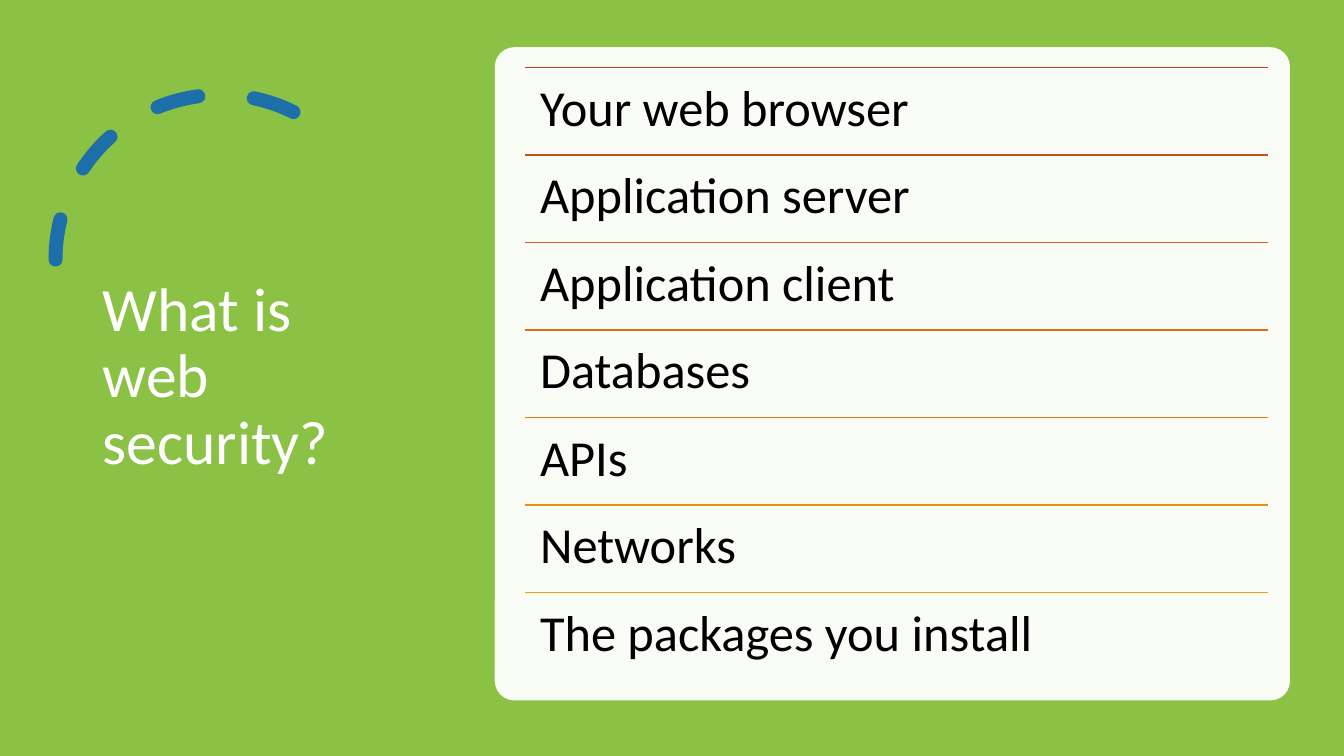
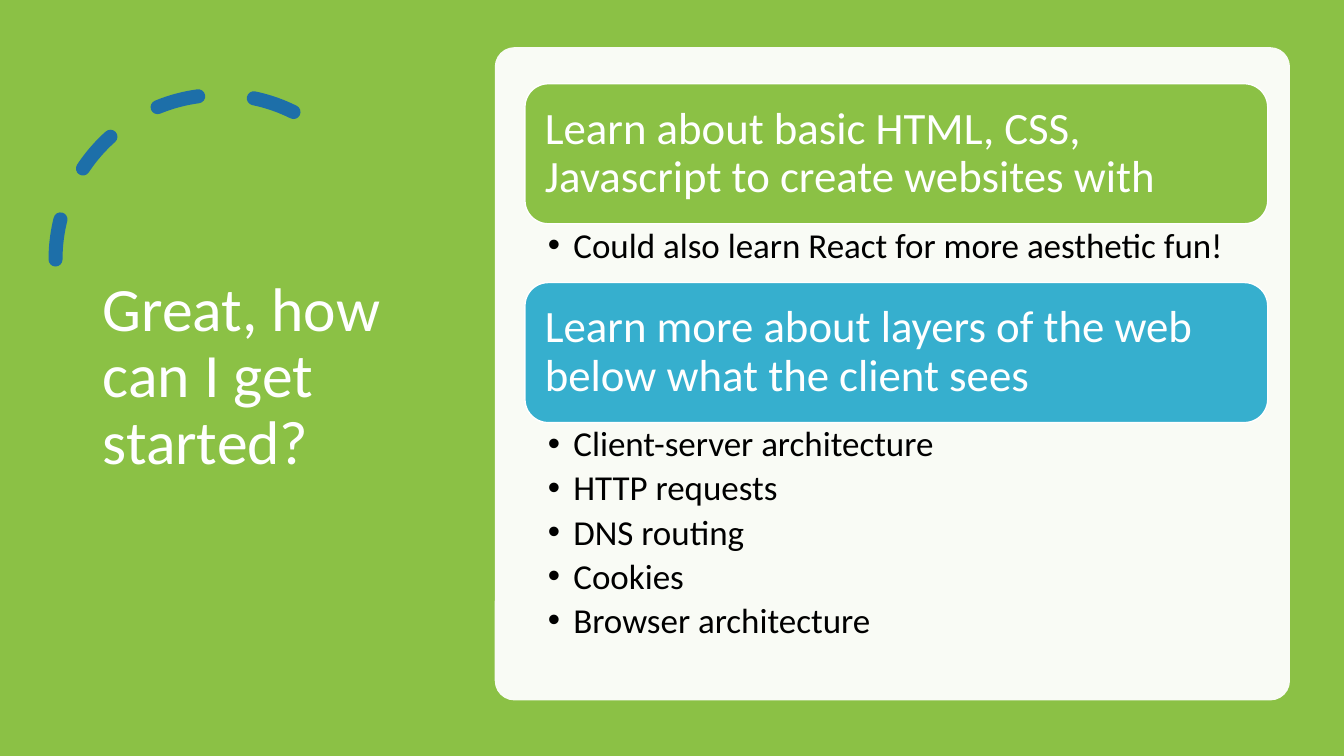
from lxml import etree
from pptx import Presentation
from pptx import util as u
from pptx.dml import color
from pptx.enum import dml, shapes, text
from pptx.oxml import ns

Cm, Pt = u.Cm, u.Pt
FONT = "Calibri"
COLOURS = {
    "green": "8BC145",
    "blue": "36AFCE",
    "arc": "1D6FA9",
    "white": "FFFFFF",
    "black": "000000",
    # Rules between the rows, from rust to amber
    "rule 1": "B74919",
    "rule 2": "C25418",
    "rule 3": "CD6117",
    "rule 4": "D86E15",
    "rule 5": "E37D13",
    "rule 6": "EE8D13",
    "rule 7": "F19D19",
}
TITLE_ONLY, TWO_CONTENT = 5, 3

# Column inside the card
COLUMN_LEFT, COLUMN_WIDTH = 13.23, 18.72

LAYERS = ["Your web browser", "Application server", "Application client",
          "Databases", "APIs", "Networks", "The packages you install"]
STEPS = [
    ("Learn about basic HTML, CSS, Javascript to create websites with", "green",
     ["Could also learn React for more aesthetic fun!"]),
    ("Learn more about layers of the web below what the client sees", "blue",
     ["Client-server architecture", "HTTP requests", "DNS routing", "Cookies",
      "Browser architecture"]),
]


def rgb(name):
    return color.RGBColor.from_string(COLOURS[name])


# Text
def set_frame(box, anchor, margins):
    frame = box.text_frame
    frame.word_wrap = True
    frame.auto_size = text.MSO_AUTO_SIZE.NONE
    frame.vertical_anchor = anchor
    (frame.margin_left, frame.margin_top,
     frame.margin_right, frame.margin_bottom) = map(Cm, margins)


def write(box, lines, size, colour, after=0):
    frame = box.text_frame
    for index, line in enumerate(lines):
        para = frame.add_paragraph() if index else frame.paragraphs[0]
        para.alignment = text.PP_ALIGN.LEFT
        para.line_spacing = 0.9
        para.space_before = Pt(0)
        para.space_after = Pt(after)
        span = para.add_run()
        span.text = line
        span.font.name = FONT
        span.font.size = Pt(size)
        span.font.color.rgb = rgb(colour)


def place(box, left, top, width, height):
    box.left, box.top, box.width, box.height = map(Cm, (left, top, width, height))


# Shapes
def add_shape(page, kind, left, top, width, height, fill=None, line=None, weight=1):
    shape = page.shapes.add_shape(kind, *map(Cm, (left, top, width, height)))
    shape.shadow.inherit = False
    if fill:
        shape.fill.solid()
        shape.fill.fore_color.rgb = rgb(fill)
    else:
        shape.fill.background()
    if line:
        shape.line.color.rgb = rgb(line)
        shape.line.width = Pt(weight)
    else:
        shape.line.fill.background()
    return shape


def add_rule(page, top, colour):
    rule = page.shapes.add_connector(
        shapes.MSO_CONNECTOR.STRAIGHT, Cm(COLUMN_LEFT), Cm(top),
        Cm(COLUMN_LEFT + COLUMN_WIDTH), Cm(top))
    rule.line.color.rgb = rgb(colour)
    rule.line.width = Pt(1)
    etree.SubElement(rule.element.spPr, ns.qn("a:effectLst"))


def add_arc(page):
    arc = add_shape(page, shapes.MSO_SHAPE.ARC, 1.4, 2.39, 8.3, 8.3,
                    line="arc", weight=10)
    arc.adjustments[0] = 146.13
    arc.adjustments[1] = 0
    arc.line.dash_style = dml.MSO_LINE.DASH
    arc.element.spPr.find(ns.qn("a:ln")).set("cap", "rnd")
    arc.element.spPr.find(ns.qn("a:xfrm")).set("flipH", "1")
    return arc


def add_card(page):
    card = add_shape(page, shapes.MSO_SHAPE.ROUNDED_RECTANGLE,
                     12.47, 1.19, 20.04, 16.46, fill="white")
    card.adjustments[0] = 0.03
    tint = card.element.spPr.find(".//" + ns.qn("a:srgbClr"))
    etree.SubElement(tint, ns.qn("a:alpha")).set("val", "95000")
    return card


# Shared frame: green ground, dashed arc, title and card
def add_page(deck, layout, heading):
    page = deck.slides.add_slide(deck.slide_layouts[layout])
    title = page.shapes.title
    ground = add_shape(page, shapes.MSO_SHAPE.RECTANGLE, 0, 0, 33.87, 19.05,
                       fill="green")
    for shape in (ground, add_arc(page), add_card(page)):
        title.element.addprevious(shape.element)
    place(title, 2.34, 1.78, 8.2, 15.47)
    set_frame(title, text.MSO_ANCHOR.MIDDLE, (0.25, 0.13, 0.25, 0.13))
    write(title, [heading], 44, "white")
    return page


# Card contents
def add_ruled_rows(page, rows):
    top, height = 1.7, 15.44 / len(rows)
    for index, row in enumerate(rows):
        row_top = top + index * height
        add_rule(page, row_top, f"rule {index + 1}")
        box = page.shapes.add_textbox(
            *map(Cm, (COLUMN_LEFT, row_top, COLUMN_WIDTH, height)))
        set_frame(box, text.MSO_ANCHOR.TOP, [0.38] * 4)
        write(box, [row], 36, "black")


def add_banner(page, top, height, label, fill):
    banner = add_shape(page, shapes.MSO_SHAPE.ROUNDED_RECTANGLE, COLUMN_LEFT, top,
                       COLUMN_WIDTH, height, fill=fill, line="white")
    set_frame(banner, text.MSO_ANCHOR.MIDDLE, [0.33] * 4)
    write(banner, [label], 32, "white")


def fill_list(body, top, height, items):
    place(body, COLUMN_LEFT, top, COLUMN_WIDTH, height)
    set_frame(body, text.MSO_ANCHOR.TOP, (0.58, 0.1, 0.64, 0.1))
    write(body, items, 25, "black", after=4.5)
    for para in body.text_frame.paragraphs:
        props = para._p.get_or_add_pPr()
        props.set("marL", str(Cm(0.64)))
        props.set("indent", str(-Cm(0.64)))
        etree.SubElement(props, ns.qn("a:buChar")).set("char", "•")


def add_steps(page, steps):
    top, banner_height = 2.11, 3.53
    bodies = list(page.placeholders)[1:]
    for body, (label, fill, items), list_height in zip(bodies, steps, (1.48, 6.07)):
        add_banner(page, top, banner_height, label, fill)
        fill_list(body, top + banner_height, list_height, items)
        top += banner_height + list_height


def main():
    deck = Presentation()
    deck.slide_width, deck.slide_height = Cm(33.87), Cm(19.05)

    page = add_page(deck, TITLE_ONLY, "What is web security?")
    add_ruled_rows(page, LAYERS)

    page = add_page(deck, TWO_CONTENT, "Great, how can I get started?")
    add_steps(page, STEPS)

    deck.save("out.pptx")


main()
